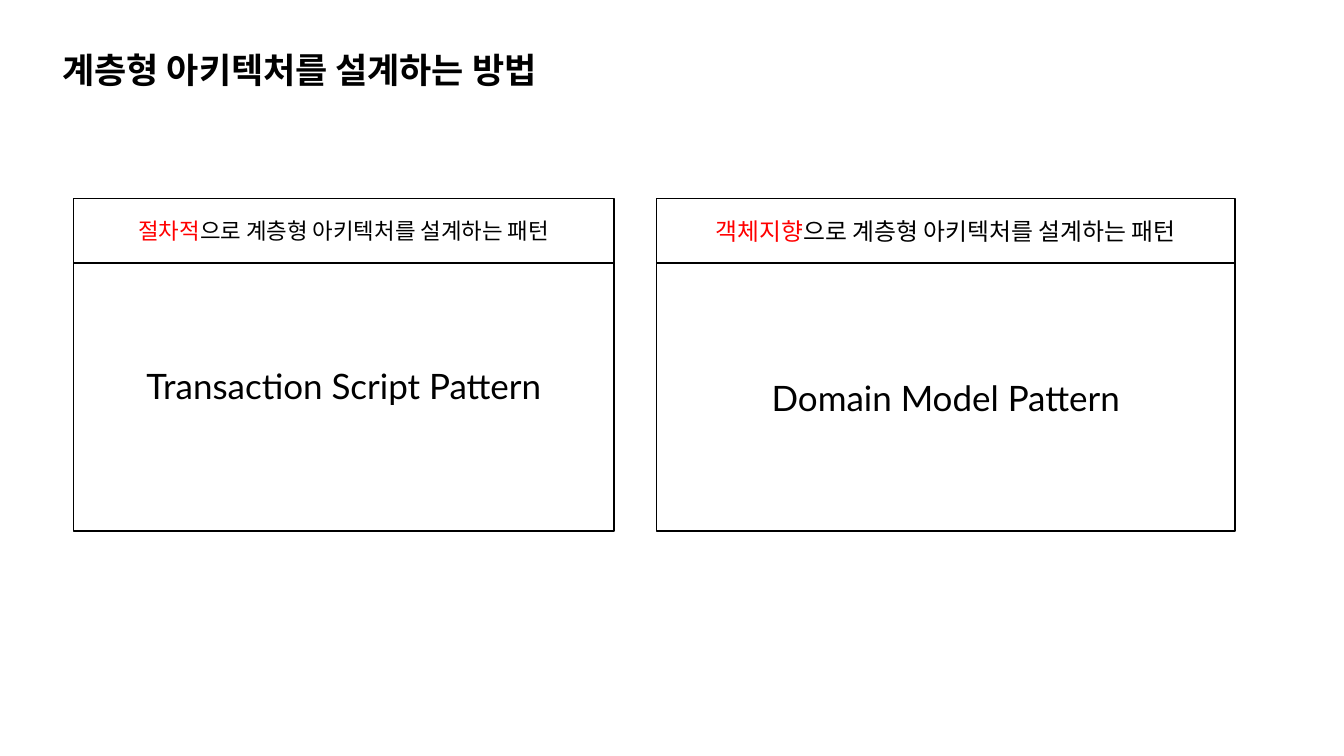
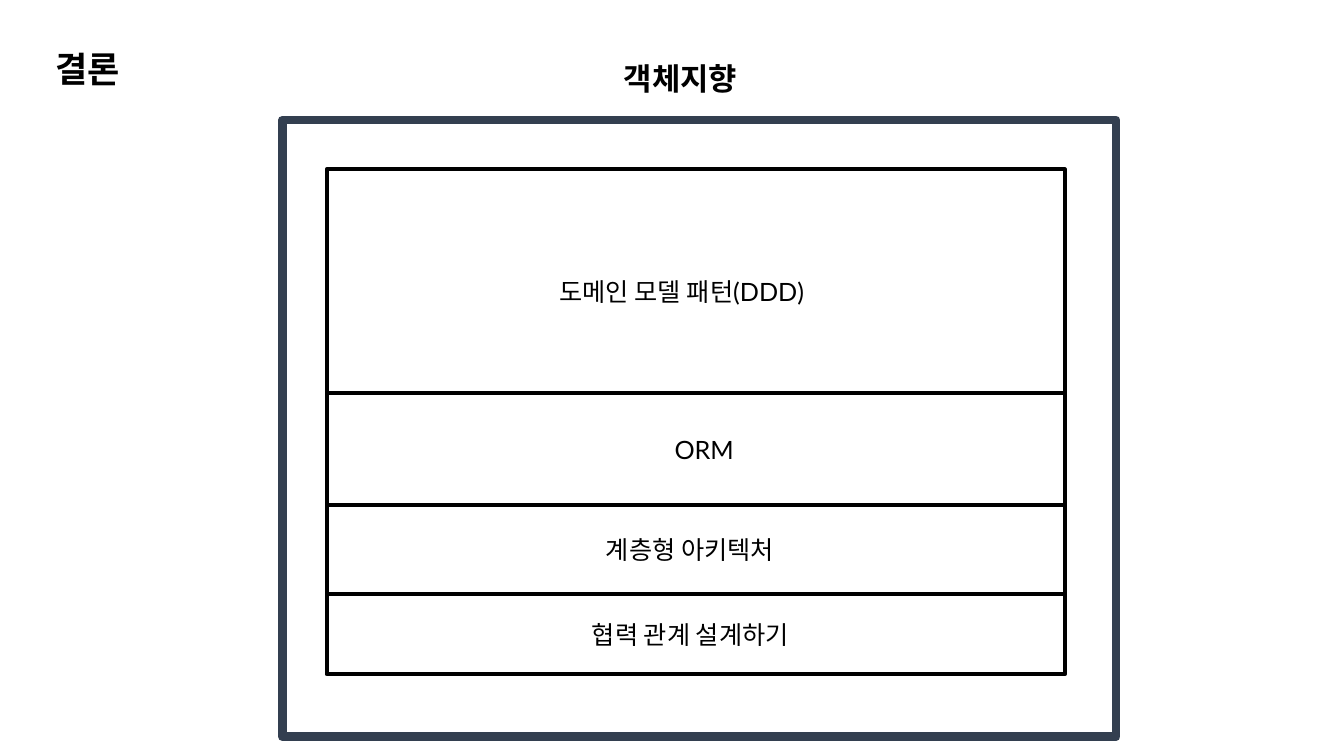
import pptx
import pptx.dml.color
import pptx.enum.shapes
import pptx.enum.text
import pptx.util

PX = 9144  # one px is a hundredth of an inch
SLIDE_WIDTH, SLIDE_HEIGHT = 1333, 750
INSET_X, INSET_Y = 10, 5

BLACK = pptx.dml.color.RGBColor(0x00, 0x00, 0x00)
WHITE = pptx.dml.color.RGBColor(0xFF, 0xFF, 0xFF)
RED = pptx.dml.color.RGBColor(0xFF, 0x00, 0x00)
NAVY = pptx.dml.color.RGBColor(0x33, 0x3F, 0x50)
FONT = "Lato"
TITLE_SIZE = 25
TITLE_ONLY_LAYOUT = 5

ALIGN = pptx.enum.text.PP_ALIGN
ANCHOR = pptx.enum.text.MSO_ANCHOR


def to_emu(*lengths):
    return [pptx.util.Emu(length * PX) for length in lengths]


def write_text(shape, parts, size, bold=False, align=ALIGN.LEFT, anchor=ANCHOR.TOP,
               insets=(INSET_X, INSET_Y, INSET_X, INSET_Y)):
    """Write one paragraph made of (text, colour) parts."""
    frame = shape.text_frame
    frame.word_wrap = True
    frame.auto_size = pptx.enum.text.MSO_AUTO_SIZE.NONE
    frame.vertical_anchor = anchor
    (frame.margin_left, frame.margin_top,
     frame.margin_right, frame.margin_bottom) = to_emu(*insets)
    paragraph = frame.paragraphs[0]
    paragraph.alignment = align
    paragraph.font.name = FONT
    paragraph.font.size = pptx.util.Pt(size)
    paragraph.font.bold = bold
    for text, color in parts:
        run = paragraph.add_run()
        run.text = text
        run.font.color.rgb = color


def add_box(shapes, box, line_color, line_width, fill=None):
    shape = shapes.add_shape(pptx.enum.shapes.MSO_SHAPE.RECTANGLE, *to_emu(*box))
    shape.shadow.inherit = False
    if fill is None:
        shape.fill.background()
    else:
        shape.fill.solid()
        shape.fill.fore_color.rgb = fill
    shape.line.color.rgb = line_color
    shape.line.width = pptx.util.Pt(line_width)
    return shape


def add_titled_slide(presentation, title, box):
    slide = presentation.slides.add_slide(presentation.slide_layouts[TITLE_ONLY_LAYOUT])
    shape = slide.shapes.title
    shape.left, shape.top, shape.width, shape.height = to_emu(*box)
    write_text(shape, [(title, BLACK)], TITLE_SIZE, bold=True)
    return slide


def add_pattern_panel(slide, box, name, keyword, heading_size, name_lift=0):
    """Place a heading strip above a pattern name, raised by name_lift."""
    left, top, width, height = box
    heading_height = 64
    group = slide.shapes.add_group_shape()
    body = add_box(group.shapes, (left, top + heading_height, width, height - heading_height),
                   BLACK, 1, WHITE)
    write_text(body, [(name, BLACK)], 25, align=ALIGN.CENTER, anchor=ANCHOR.MIDDLE,
               insets=(INSET_X, INSET_Y, INSET_X, INSET_Y + 2 * name_lift))
    heading = add_box(group.shapes, (left, top, width, heading_height), BLACK, 1, WHITE)
    write_text(heading, [(keyword, RED), ("으로 계층형 아키텍처를 설계하는 패턴", BLACK)],
               heading_size, align=ALIGN.CENTER, anchor=ANCHOR.MIDDLE)


def add_layer_stack(slide, box, layers):
    """Stack rows of (text, height, text indent, text drop) from the top."""
    left, top, width = box
    for text, height, indent, drop in layers:
        row = add_box(slide.shapes, (left, top, width, height), BLACK, 2.75)
        write_text(row, [(text, BLACK)], 18, anchor=ANCHOR.MIDDLE,
                   insets=(indent, INSET_Y + 2 * drop, INSET_X, INSET_Y))
        top += height


def build_patterns_slide(presentation):
    slide = add_titled_slide(presentation, "계층형 아키텍처를 설계하는 방법", (52, 43, 572, 52))
    add_pattern_panel(slide, (651, 197, 574, 330), "Domain Model Pattern", "객체지향", 17)
    add_pattern_panel(slide, (73, 197, 536, 330), "Transaction Script Pattern", "절차적", 16,
                      name_lift=11)


def build_conclusion_slide(presentation):
    slide = add_titled_slide(presentation, "결론", (45, 42, 143, 52))
    # Outer frame and its heading
    add_box(slide.shapes, (280, 119, 827, 612), NAVY, 6.25)
    heading = slide.shapes.add_textbox(*to_emu(609, 54, 143, 47))
    write_text(heading, [("객체지향", BLACK)], 22, bold=True)
    # Layers inside the frame
    add_layer_stack(slide, (324, 168, 732), [
        ("도메인 모델 패턴(DDD)", 222, 231, 10),
        ("ORM", 111, 345, 0),
        ("계층형 아키텍처", 88, 277, 0),
        ("협력 관계 설계하기", 80, 263, 0),
    ])


def main():
    presentation = pptx.Presentation()
    presentation.slide_width, presentation.slide_height = to_emu(SLIDE_WIDTH, SLIDE_HEIGHT)
    build_patterns_slide(presentation)
    build_conclusion_slide(presentation)
    presentation.save("out.pptx")


if __name__ == "__main__":
    main()
